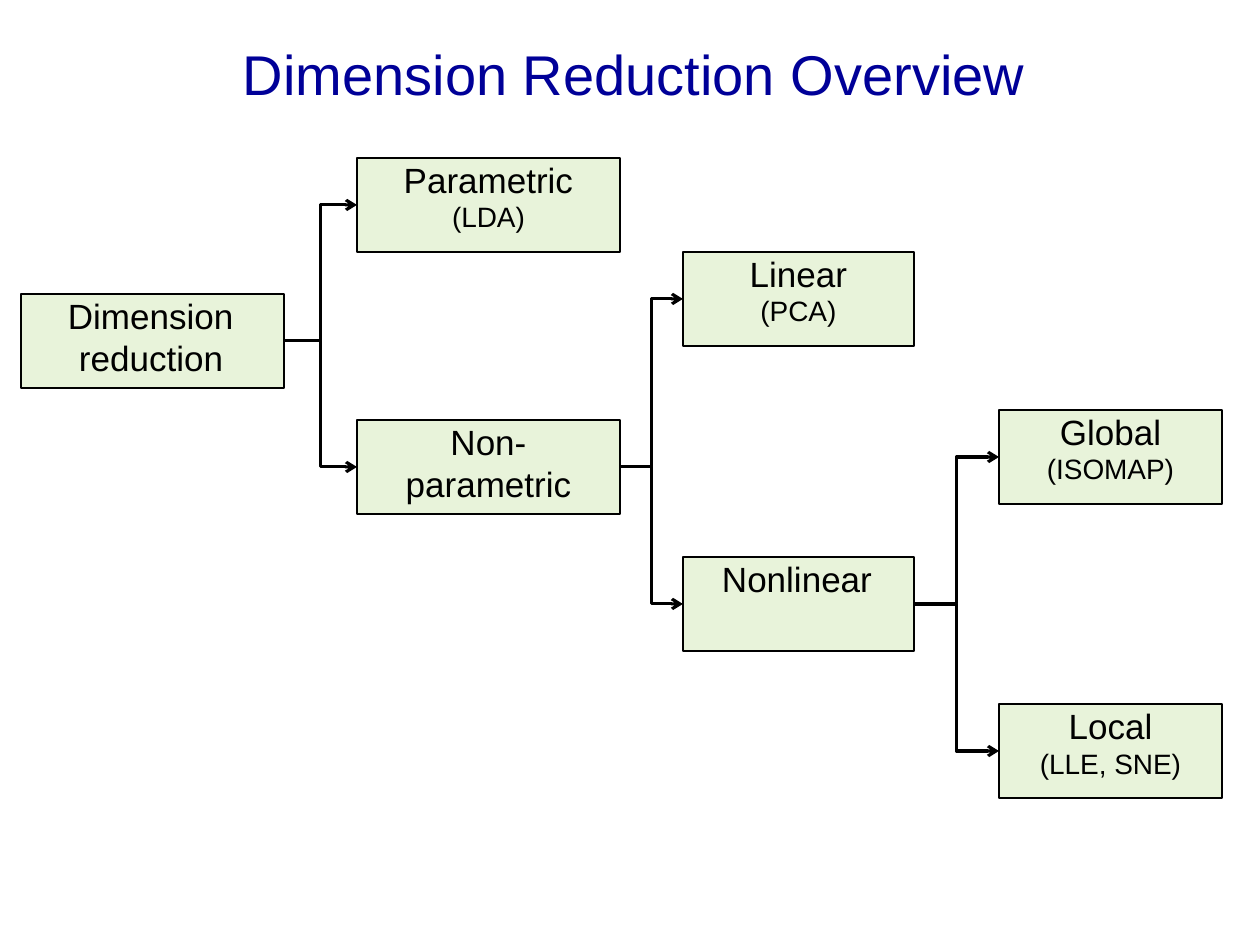
from lxml import etree
from pptx import Presentation
from pptx.dml.color import RGBColor
from pptx.enum.shapes import MSO_CONNECTOR, MSO_SHAPE
from pptx.enum.text import MSO_ANCHOR, PP_ALIGN
from pptx.oxml.ns import qn
from pptx.util import Pt

RECTANGLE = MSO_SHAPE.RECTANGLE
ELBOW = MSO_CONNECTOR.ELBOW
TOP = MSO_ANCHOR.TOP
LEFT, CENTER = PP_ALIGN.LEFT, PP_ALIGN.CENTER
LEFT_SIDE, RIGHT_SIDE = 1, 3

EMU_PER_PX = 914400 / 126
COLORS = {"title": "000098", "text": "000000", "box": "E8F3DA", "line": "000000"}
FONT = "Arial"
BOX_HEIGHT = 94
# Left edge and width of each level of the tree
LEVELS = [(21, 263), (357, 263), (683, 231), (999, 223)]
# Name: level, top, lines as (text, size), left margin, first-line indent
NODES = {
    "root": (0, 294, [("Dimension reduction", 20)], 58, -11),
    "parametric": (1, 158, [("Parametric", 20), ("(LDA)", 16)], 0, 0),
    "non-parametric": (1, 420, [("Non-", 20), ("parametric", 20)], 0, 0),
    "linear": (2, 252, [("Linear", 20), ("(PCA)", 16)], 0, 0),
    "nonlinear": (2, 557, [("Nonlinear", 20)], 39, 0),
    "global": (3, 410, [("Global", 20), ("(ISOMAP)", 16)], 0, 0),
    "local": (3, 704, [("Local", 20), ("(LLE, SNE)", 16)], 0, 0),
}
BRANCHES = {
    "root": ["parametric", "non-parametric"],
    "non-parametric": ["linear", "nonlinear"],
    "nonlinear": ["global", "local"],
}


def px(length):
    return round(length * EMU_PER_PX)


def color(name):
    return RGBColor.from_string(COLORS[name])


def write_lines(shape, lines, color_name, align):
    frame = shape.text_frame
    frame.word_wrap = True
    frame.vertical_anchor = TOP
    frame.margin_left = frame.margin_right = 0
    frame.margin_top = frame.margin_bottom = 0
    for index, (text, size) in enumerate(lines):
        para = frame.add_paragraph() if index else frame.paragraphs[0]
        para.text = text
        para.alignment = align
        para.font.name = FONT
        para.font.size = Pt(size)
        para.font.color.rgb = color(color_name)


def indent_paragraphs(shape, margin, first_line):
    for para in shape.text_frame.paragraphs:
        properties = para._p.get_or_add_pPr()
        properties.set("marL", str(px(margin)))
        properties.set("indent", str(px(first_line)))


def add_title(slide, text):
    box = slide.shapes.add_textbox(px(243), px(40), px(784), px(60))
    write_lines(box, [(text, 32)], "title", LEFT)


def add_node(slide, level, top, lines, margin, first_line):
    left, width = LEVELS[level]
    box = slide.shapes.add_shape(
        RECTANGLE, px(left), px(top), px(width), px(BOX_HEIGHT))
    box.shadow.inherit = False
    box.fill.solid()
    box.fill.fore_color.rgb = color("box")
    box.line.color.rgb = color("line")
    box.line.width = Pt(0.96)
    write_lines(box, lines, "text", LEFT if margin else CENTER)
    if margin:
        indent_paragraphs(box, margin, first_line)
    return box


def add_branch(slide, parent, child):
    """Join the parent's right side to the child's left side with an arrow."""
    arrow = slide.shapes.add_connector(ELBOW, 0, 0, 0, 0)
    arrow.begin_connect(parent, RIGHT_SIDE)
    arrow.end_connect(child, LEFT_SIDE)
    arrow.line.color.rgb = color("line")
    arrow.line.width = Pt(1.75)
    etree.SubElement(arrow.line._get_or_add_ln(), qn("a:tailEnd"), type="arrow")
    etree.SubElement(arrow._element.spPr, qn("a:effectLst"))


def main():
    deck = Presentation()
    deck.slide_width, deck.slide_height = px(1260), px(945)
    slide = deck.slides.add_slide(deck.slide_layouts[6])
    add_title(slide, "Dimension Reduction Overview")
    boxes = {name: add_node(slide, *node) for name, node in NODES.items()}
    for parent, children in BRANCHES.items():
        for child in children:
            add_branch(slide, boxes[parent], boxes[child])
    deck.save("out.pptx")


if __name__ == "__main__":
    main()
